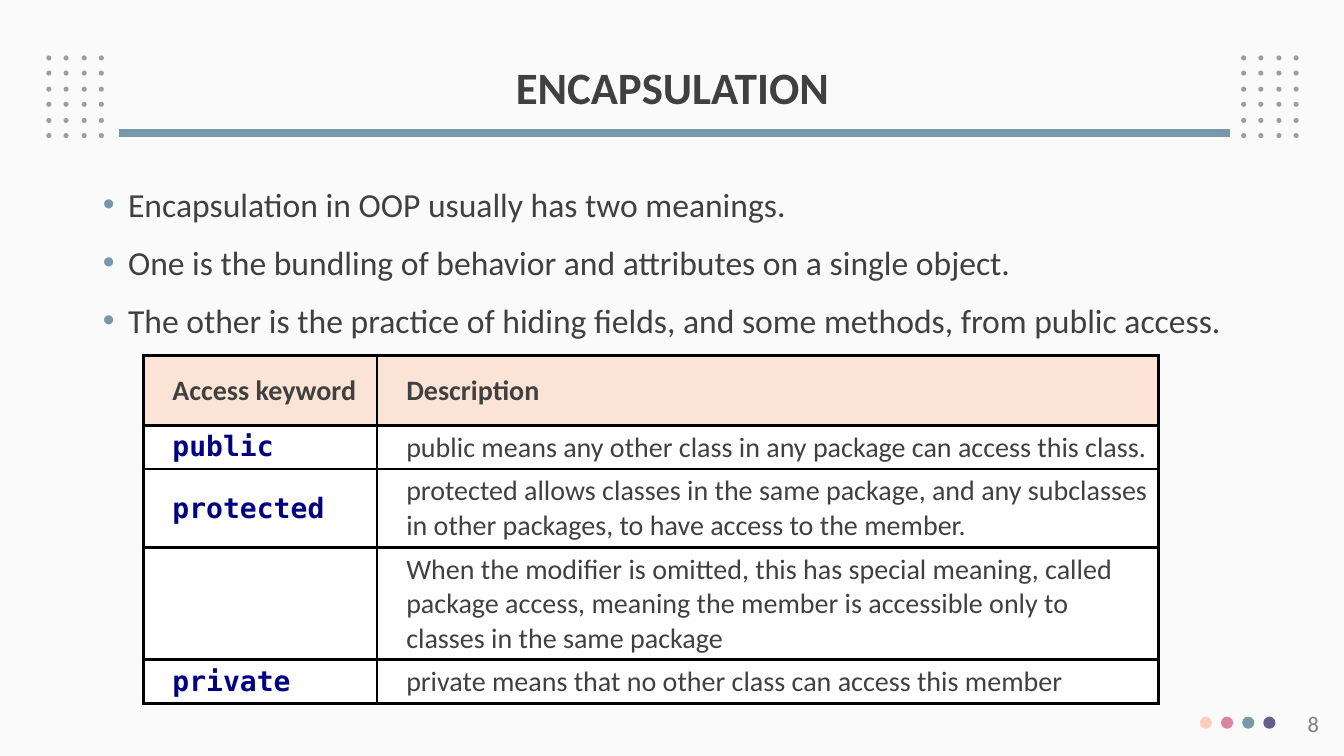
from itertools import product

from lxml.etree import SubElement
from pptx import Presentation
from pptx.dml.color import RGBColor
from pptx.enum.shapes import MSO_CONNECTOR, MSO_SHAPE
from pptx.enum.text import MSO_ANCHOR, MSO_AUTO_SIZE, PP_ALIGN
from pptx.oxml.ns import qn
from pptx.util import Pt

PX = 9144
BODY_FONT = "Calibri"
CODE_FONT = "DejaVu Sans Mono"
COLORS = {
    "background": "FAFAFA", "text": "404040", "dot": "9D9D9D", "accent": "7897AB",
    "peach": "FDCEB9", "pink": "D885A3", "violet": "655D8A", "number": "808080",
    "keyword": "000080", "header": "FBE4D5", "cell": "FFFFFF", "border": "000000",
}
BULLETS = [
    "Encapsulation in OOP usually has two meanings.",
    "One is the bundling of behavior and attributes on a single object.",
    "The other is the practice of hiding fields, and some methods, from public access.",
]
ACCESS_ROWS = [
    ("Access keyword", "Description"),
    ("public", "public means any other class in any package can access this class."),
    ("protected", "protected allows classes in the same package, and any subclasses "
                  "in other packages, to have access to the member."),
    ("", "When the modifier is omitted, this has special meaning, called package access, "
         "meaning the member is accessible only to classes in the same package"),
    ("private", "private means that no other class can access this member"),
]
COLUMN_WIDTHS = [232, 775]
ROW_HEIGHTS = [69, 43, 78, 111, 43]


def color(name):
    """Return the named colour."""
    return RGBColor.from_string(COLORS[name])


def place(box, left, top, width, height):
    """Move and size a shape in px."""
    box.left, box.top, box.width, box.height = (
        value * PX for value in (left, top, width, height))


def style(para, size, tint="text", bold=False, font=BODY_FONT):
    """Format every run of a paragraph."""
    for span in para.runs:
        span.font.name = font
        span.font.size = Pt(size)
        span.font.bold = bold
        span.font.color.rgb = color(tint)


def add_dot(page, left, top, size, tint):
    """Draw a filled circle without an outline."""
    dot = page.shapes.add_shape(
        MSO_SHAPE.OVAL, left * PX, top * PX, size * PX, size * PX)
    dot.shadow.inherit = False
    dot.fill.solid()
    dot.fill.fore_color.rgb = color(tint)
    dot.line.fill.background()


def add_dot_grid(page, left):
    """Draw a grid of six rows of four small dots."""
    for row, column in product(range(6), range(4)):
        add_dot(page, left + column * 35 // 2, 55 + row * 31 // 2, 5, "dot")


def add_rule(page):
    """Draw the line under the title."""
    rule = page.shapes.add_connector(
        MSO_CONNECTOR.STRAIGHT, 118 * PX, 132 * PX, 1220 * PX, 132 * PX)
    rule.line.color.rgb = color("accent")
    rule.line.width = Pt(5.25)
    SubElement(rule._element.spPr, qn("a:effectLst"))


def fill_title(page):
    """Write the title in its placeholder."""
    title = page.shapes.title
    place(title, 92, 40, 1150, 98)
    frame = title.text_frame
    frame.text = "ENCAPSULATION"
    frame.vertical_anchor = MSO_ANCHOR.MIDDLE
    frame.auto_size = MSO_AUTO_SIZE.NONE
    para = frame.paragraphs[0]
    para.alignment = PP_ALIGN.CENTER
    para.line_spacing = 0.9
    style(para, 32, bold=True)


def add_bullet(para):
    """Give a paragraph a hanging accent bullet."""
    properties = para._p.get_or_add_pPr()
    properties.set("marL", str(25 * PX))
    properties.set("indent", str(-25 * PX))
    tint = SubElement(properties, qn("a:buClr"))
    SubElement(tint, qn("a:srgbClr")).set("val", COLORS["accent"])
    SubElement(properties, qn("a:buFont")).set("typeface", "Arial")
    SubElement(properties, qn("a:buChar")).set("char", "•")


def fill_body(page):
    """Write the bullet list in the body placeholder."""
    body = page.placeholders[1]
    place(body, 92, 173, 1150, 503)
    frame = body.text_frame
    frame.text = "\n".join(BULLETS)
    frame.auto_size = MSO_AUTO_SIZE.NONE
    for index, para in enumerate(frame.paragraphs):
        add_bullet(para)
        para.line_spacing = 1.1
        para.space_before = Pt(10 if index else 0)
        style(para, 24)


def add_borders(cell):
    """Draw a solid line on all four sides of a cell."""
    properties = cell._tc.get_or_add_tcPr()
    for side in ("lnL", "lnR", "lnT", "lnB"):
        line = SubElement(properties, qn(f"a:{side}"))
        line.set("w", str(Pt(2.25)))
        fill = SubElement(line, qn("a:solidFill"))
        SubElement(fill, qn("a:srgbClr")).set("val", COLORS["border"])


def fill_cell(cell, text, is_header, is_keyword):
    """Write and format one table cell."""
    add_borders(cell)
    cell.fill.solid()
    cell.fill.fore_color.rgb = color("header" if is_header else "cell")
    cell.vertical_anchor = MSO_ANCHOR.MIDDLE
    cell.margin_left = cell.margin_right = 9 * PX
    cell.margin_top = cell.margin_bottom = 5 * PX
    cell.text_frame.text = text
    para = cell.text_frame.paragraphs[0]
    para._p.get_or_add_pPr().set("marL", str(20 * PX))
    para.space_after = Pt(0 if is_header else 10)
    if is_keyword and not is_header:
        style(para, 20, "keyword", True, CODE_FONT)
    else:
        style(para, 20, bold=is_header)


def add_access_table(page):
    """Add the table of access keywords."""
    table = page.shapes.add_table(
        len(ROW_HEIGHTS), len(COLUMN_WIDTHS), 142 * PX, 353 * PX,
        sum(COLUMN_WIDTHS) * PX, sum(ROW_HEIGHTS) * PX).table
    table.first_row = table.horz_banding = False
    for column, width in zip(table.columns, COLUMN_WIDTHS):
        column.width = width * PX
    for index, height in enumerate(ROW_HEIGHTS):
        table.rows[index].height = height * PX
        for position, text in enumerate(ACCESS_ROWS[index]):
            fill_cell(table.cell(index, position), text, index == 0, position == 0)


def add_page_number(page):
    """Write the page number at the bottom right."""
    box = page.shapes.add_textbox(1018 * PX, 700 * PX, 300 * PX, 40 * PX)
    box.text_frame.word_wrap = True
    box.text_frame.text = "8"
    para = box.text_frame.paragraphs[0]
    para.alignment = PP_ALIGN.RIGHT
    style(para, 16, "number")


def main():
    """Build the slide and save it."""
    deck = Presentation()
    deck.slide_width, deck.slide_height = 1333 * PX, 750 * PX
    page = deck.slides.add_slide(deck.slide_layouts[1])
    page.background.fill.solid()
    page.background.fill.fore_color.rgb = color("background")
    for left in (46, 1231):
        add_dot_grid(page, left)
    add_rule(page)
    for index, tint in enumerate(("peach", "pink", "accent", "violet")):
        add_dot(page, 1190 + index * 21, 711, 12, tint)
    fill_title(page)
    fill_body(page)
    add_page_number(page)
    add_access_table(page)
    deck.save("out.pptx")


if __name__ == "__main__":
    main()
